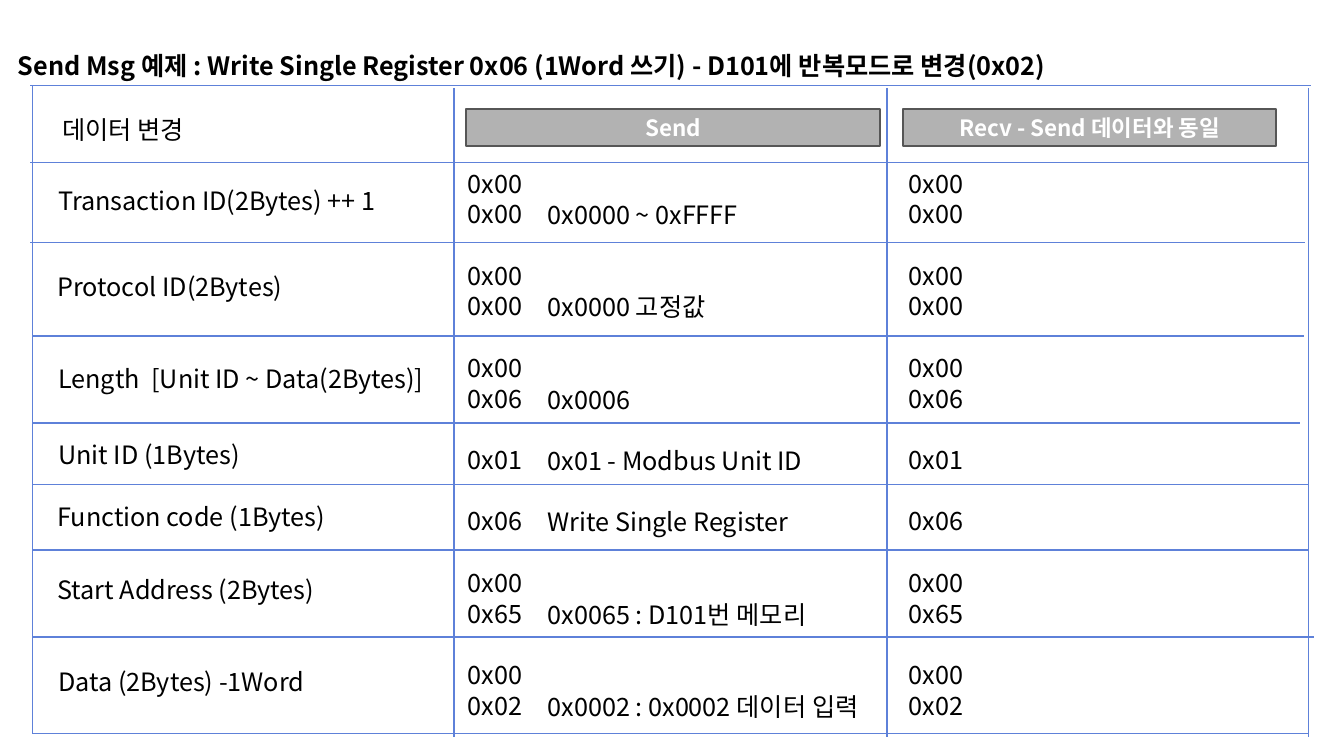
from itertools import accumulate

from lxml import etree
from pptx import Presentation
from pptx import util as u
from pptx.dml.color import RGBColor
from pptx.enum import shapes, text
from pptx.oxml.ns import qn

BLACK = RGBColor(0x00, 0x00, 0x00)
WHITE = RGBColor(0xFF, 0xFF, 0xFF)
RULE_BLUE = RGBColor(0x5E, 0x81, 0xD9)
HEADER_GRAY = RGBColor(0xB2, 0xB2, 0xB2)
HEADER_BORDER = RGBColor(0x56, 0x56, 0x56)

LINE_PITCH = 21.9  # points between the lines of an 18 pt column
COLUMN_TOP = 1.61

# Field name, its left and top, the bytes sent, the note beside the last byte
FIELDS = [
    ("Transaction ID(2Bytes) ++ 1", 0.48, 1.78, ["0x00", "0x00"], "0x0000 ~ 0xFFFF"),
    ("Protocol ID(2Bytes)", 0.47, 2.63, ["0x00", "0x00"], "0x0000 고정값"),
    ("Length  [Unit ID ~ Data(2Bytes)]", 0.48, 3.55, ["0x00", "0x06"], "0x0006"),
    ("Unit ID (1Bytes)", 0.48, 4.3, ["0x01"], "0x01 - Modbus Unit ID"),
    ("Function code (1Bytes)", 0.47, 4.91, ["0x06"], "Write Single Register"),
    ("Start Address (2Bytes)", 0.47, 5.64, ["0x00", "0x65"], "0x0065 : D101번 메모리"),
    ("Data (2Bytes) -1Word", 0.48, 6.55, ["0x00", "0x02"], "0x0002 : 0x0002 데이터 입력"),
]

# Left, right and height of each horizontal rule
ROW_RULES = [
    (0.3, 12.99, 0.85), (0.3, 12.96, 1.61), (0.3, 12.93, 2.4),
    (0.32, 12.92, 3.33), (0.32, 12.88, 4.19), (0.32, 12.96, 4.8),
    (0.32, 12.97, 5.45), (0.32, 13.02, 6.31), (0.32, 12.97, 7.27),
]

# Position, top and bottom of each vertical rule
COLUMN_RULES = [(0.32, 0.85, 7.27), (4.5, 0.87, 7.3), (8.79, 0.87, 7.3), (12.97, 0.87, 7.3)]


class SlideWriter:
    font_name = "Noto Sans CJK KR"

    def __init__(self, slide):
        self.slide = slide

    def style(self, paragraph, size=18, color=BLACK, bold=False):
        font = paragraph.font
        font.name, font.size, font.bold = self.font_name, u.Pt(size), bold
        font.color.rgb = color
        east_asian = etree.Element(qn("a:ea"), typeface=self.font_name)
        font._element.find(qn("a:latin")).addnext(east_asian)
        paragraph.line_spacing = u.Pt(round(LINE_PITCH * size / 18, 1))

    def column(self, left, top, width, height, lines):
        """Write (line number, wording) pairs, each on its numbered line."""
        box = self.slide.shapes.add_textbox(
            u.Inches(left), u.Inches(top), u.Inches(width), u.Inches(height))
        frame = box.text_frame
        frame.word_wrap = True
        previous = None
        for number, wording in lines:
            paragraph = frame.paragraphs[0] if previous is None else frame.add_paragraph()
            paragraph.text = wording
            self.style(paragraph)
            if previous is not None:
                paragraph.space_before = u.Pt(LINE_PITCH * (number - previous - 1))
            previous = number
        return frame

    def label(self, left, top, width, wording, bold=False):
        frame = self.column(left, top, width, 0.4, [(0, wording)])
        frame.paragraphs[0].font.bold = bold

    def header(self, left, width, wording):
        shape = self.slide.shapes.add_shape(
            shapes.MSO_SHAPE.RECTANGLE, u.Inches(left), u.Inches(1.08),
            u.Inches(width), u.Inches(0.37))
        shape.shadow.inherit = False
        shape.fill.solid()
        shape.fill.fore_color.rgb = HEADER_GRAY
        shape.line.color.rgb = HEADER_BORDER
        shape.line.width = u.Pt(1.5)
        frame = shape.text_frame
        frame.vertical_anchor = text.MSO_ANCHOR.MIDDLE
        paragraph = frame.paragraphs[0]
        paragraph.text = wording
        paragraph.alignment = text.PP_ALIGN.CENTER
        self.style(paragraph, 16, WHITE, True)

    def rule(self, left, top, right, bottom):
        line = self.slide.shapes.add_connector(
            shapes.MSO_CONNECTOR.STRAIGHT, u.Inches(left), u.Inches(top),
            u.Inches(right), u.Inches(bottom))
        line.line.color.rgb = RULE_BLUE
        line.line.width = u.Pt(1)
        etree.SubElement(line._element.spPr, qn("a:effectLst"))


def main():
    presentation = Presentation()
    presentation.slide_width = u.Inches(13.32)
    presentation.slide_height = u.Inches(7.49)
    writer = SlideWriter(presentation.slides.add_slide(presentation.slide_layouts[6]))

    # Grid
    for left, right, height in ROW_RULES:
        writer.rule(left, height, right, height)
    for position, top, bottom in COLUMN_RULES:
        writer.rule(position, top, position, bottom)

    # Title and headers
    writer.label(0.08, 0.44, 12, "Send Msg 예제 : Write Single Register 0x06 (1Word 쓰기)"
                 " - D101에 반복모드로 변경(0x02)", bold=True)
    writer.label(0.52, 1.08, 1.6, "데이터 변경")
    writer.header(4.62, 4.1, "Send")
    writer.header(8.95, 3.7, "Recv - Send 데이터와 동일")

    # Field names
    for name, left, top, _, _ in FIELDS:
        writer.label(left, top, 4, name)

    # Bytes and notes, with one line left free after each field
    starts = accumulate((len(field[3]) + 1 for field in FIELDS), initial=0)
    byte_lines, note_lines = [], []
    for start, (_, _, _, values, note) in zip(starts, FIELDS):
        byte_lines += enumerate(values, start)
        note_lines.append((start + len(values) - 1, note))
    for left in (4.54, 8.91):
        writer.column(left, COLUMN_TOP, 0.8, 5.5, byte_lines)
    first_note = note_lines[0][0] * LINE_PITCH / 72
    writer.column(5.33, COLUMN_TOP + 0.01 + first_note, 3.54, 5.5 - first_note, note_lines)

    presentation.save("out.pptx")


if __name__ == "__main__":
    main()
